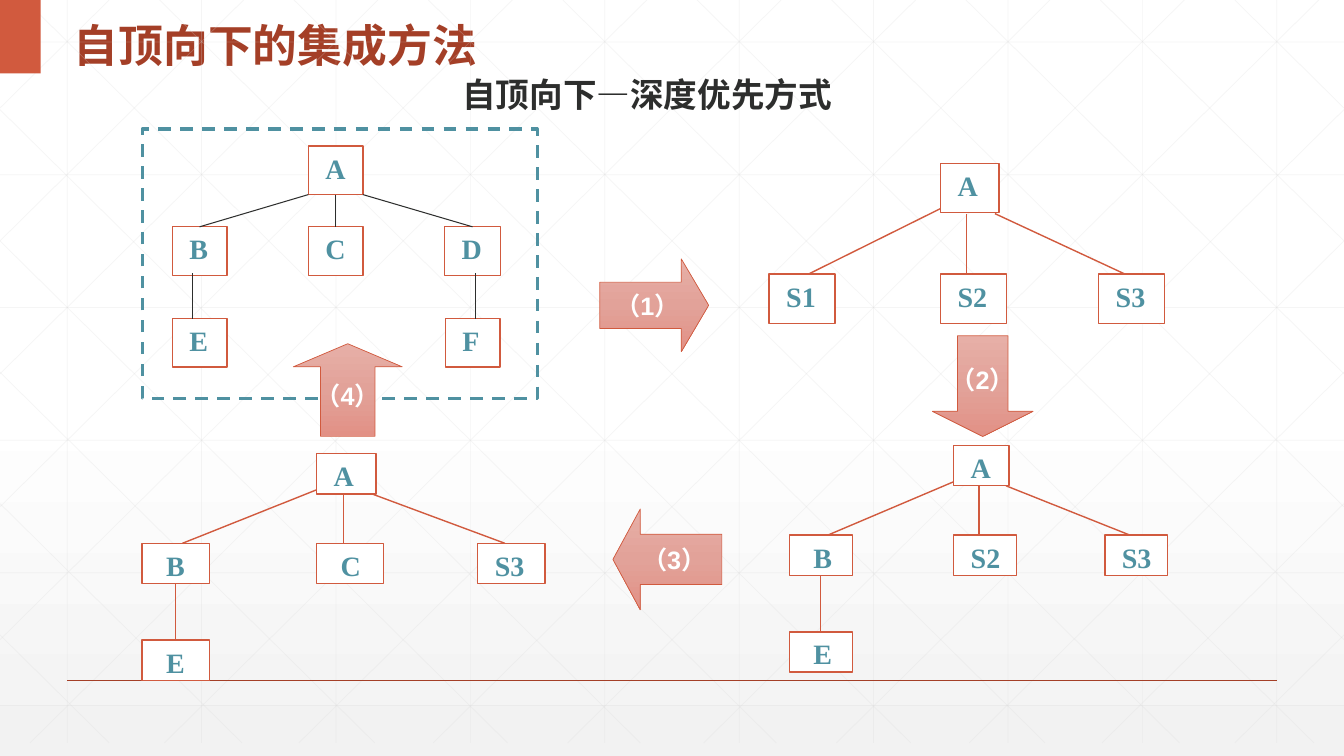
from math import hypot

from lxml.etree import SubElement
from pptx import Presentation
from pptx.dml.color import RGBColor
from pptx.enum.dml import MSO_LINE
from pptx.enum.shapes import MSO_CONNECTOR, MSO_SHAPE
from pptx.enum.text import MSO_ANCHOR, MSO_AUTO_SIZE, PP_ALIGN
from pptx.oxml.ns import qn
from pptx.util import Pt

WHITE = RGBColor(0xFF, 0xFF, 0xFF)
PALE = RGBColor(0xF2, 0xF2, 0xF2)
GRID = RGBColor(0xD9, 0xD9, 0xD9)
INK = RGBColor(0x2D, 0x2E, 0x2D)
BRICK = RGBColor(0xA4, 0x3F, 0x27)
RED = RGBColor(0xD1, 0x5A, 0x3E)
TEAL = RGBColor(0x4F, 0x91, 0xA1)
ROSE_STOPS = [(0, RGBColor(0xE7, 0xAF, 0xA7)), (50, RGBColor(0xE2, 0xA2, 0x99)),
              (100, RGBColor(0xE2, 0x91, 0x86))]
CHINESE_FONT = "Noto Sans CJK SC"
WIDTH, HEIGHT, GRID_BOTTOM = 960, 540, 530.6

ONE_SPACE, TWO_SPACES = 12.2, 17.2
FULL_TREE = {
    "origin": (101.5, 92.2), "height": 34.6, "color": INK, "weight": 0.75,
    "nodes": [("A", 118.8, 12.2, 39, ONE_SPACE), ("B", 21.6, 69.8, 39, ONE_SPACE),
              ("C", 118.8, 69.8, 39, ONE_SPACE), ("D", 216, 69.8, 40, ONE_SPACE),
              ("E", 21.6, 135.4, 39, ONE_SPACE), ("F", 216.7, 135.4, 39, ONE_SPACE)],
    "links": [(118.8, 46.8, 41, 69.8), (157.7, 46.8, 235.6, 69.8), (138.3, 46.8, 138.3, 69.8),
              (36, 103, 36, 135.4), (238.3, 103, 238.3, 135.4)],
    "frame": (282.2, 192.2)}
STUB_TREE = {
    "origin": (549.4, 116.6), "height": 35.3, "color": RED, "weight": 1,
    "nodes": [("A", 122.4, 0, 41.8, ONE_SPACE), ("S1", 0, 79.2, 47, ONE_SPACE),
              ("S2", 122.4, 79.2, 47, ONE_SPACE), ("S3", 235.4, 79.2, 47, ONE_SPACE)],
    "links": [(122.4, 32.4, 28.1, 79.2), (161.3, 36, 254.2, 79.2), (141.1, 36, 141.1, 78.5)]}
LEFT_BRANCH_TREE = {
    "origin": (563.8, 318.2), "height": 28.8, "color": RED, "weight": 1,
    "nodes": [("A", 117.4, 0, 39.6, ONE_SPACE), ("B", 0, 64.1, 45, TWO_SPACES),
              ("S2", 117.4, 64.1, 45, ONE_SPACE), ("S3", 225.4, 64.1, 45, ONE_SPACE),
              ("E", 0, 133.2, 45, TWO_SPACES)],
    "links": [(117.4, 25.9, 27.4, 64.1), (154.8, 28.8, 243.4, 64.1),
              (135.4, 28.8, 135.4, 63.4), (22.5, 92.9, 22.5, 133.2)]}
MIDDLE_BRANCH_TREE = {
    "origin": (101.5, 324), "height": 28.8, "color": RED, "weight": 1,
    "nodes": [("A", 124.6, 0, 42.5, ONE_SPACE), ("B", 0, 64.1, 48, TWO_SPACES),
              ("C", 124.6, 64.1, 48, TWO_SPACES), ("S3", 239.8, 64.1, 48, ONE_SPACE),
              ("E", 0, 133.2, 48, TWO_SPACES)],
    "links": [(124.6, 25.9, 28.8, 64.1), (164.2, 28.8, 259.2, 64.1),
              (144, 29.5, 144, 64.1), (24, 92.9, 24, 133.2)]}
STEP_ARROWS = [("（1）", MSO_SHAPE.RIGHT_ARROW, (428.4, 185, 77.8, 66.2), 0.295),
               ("（2）", MSO_SHAPE.DOWN_ARROW, (666, 239.8, 72, 72), 0.25),
               ("（3）", MSO_SHAPE.LEFT_ARROW, (437.8, 363.6, 77.8, 72), 0.271),
               ("（4）", MSO_SHAPE.UP_ARROW, (209.5, 245.5, 77.8, 66.2), 0.25)]


def write_text(shape, text, font="Arial", size=18, color=WHITE, align=PP_ALIGN.LEFT,
               anchor=MSO_ANCHOR.TOP, wrap=True, indent=7.2, spacing=None):
    """Put one bold paragraph into a shape."""
    frame = shape.text_frame
    frame.auto_size = MSO_AUTO_SIZE.NONE
    frame.word_wrap = wrap
    frame.vertical_anchor = anchor
    frame.margin_left = Pt(indent)
    paragraph = frame.paragraphs[0]
    paragraph.alignment = align
    paragraph.line_spacing = spacing
    run = paragraph.add_run()
    run.text = text
    run.font.name, run.font.size, run.font.bold = font, Pt(size), True
    run.font.color.rgb = color
    SubElement(run.font._element, qn("a:ea"), typeface=CHINESE_FONT)


def set_gradient(fill, element, stops):
    """Give a fill a top-to-bottom gradient with the given stops."""
    fill.gradient()
    fill.gradient_angle = 270
    stop_list = element.find(".//" + qn("a:gsLst"))
    for stop in list(stop_list):
        stop_list.remove(stop)
    for position, color in stops:
        stop = SubElement(stop_list, qn("a:gs"), pos=str(position * 1000))
        SubElement(stop, qn("a:srgbClr"), val=str(color))


def add_line(shapes, points, color, weight, opacity=None):
    """Draw a straight line through (x1, y1, x2, y2)."""
    line = shapes.add_connector(MSO_CONNECTOR.STRAIGHT, *map(Pt, points))
    line.line.color.rgb = color
    line.line.width = Pt(weight)
    if opacity:
        color_element = line._element.find(".//" + qn("a:srgbClr"))
        SubElement(color_element, qn("a:alpha"), val=str(opacity * 1000))
    SubElement(line._element.spPr, qn("a:effectLst"))
    return line


def add_box(shapes, kind, box, fill=None, line=None, weight=1):
    """Draw a preset shape without shadow."""
    shape = shapes.add_shape(kind, *map(Pt, box))
    shape.shadow.inherit = False
    if fill is None:
        shape.fill.background()
    else:
        shape.fill.solid()
        shape.fill.fore_color.rgb = fill
    if line is None:
        shape.line.fill.background()
    else:
        shape.line.color.rgb = line
        shape.line.width = Pt(weight)
    return shape


def draw_backdrop(slide):
    """Draw the gradient, the faint grid, the base line and the corner block."""
    set_gradient(slide.background.fill, slide._element, [(0, WHITE), (53, WHITE), (100, PALE)])
    lines = [(x, 0, x, GRID_BOTTOM) for x in range(48, WIDTH, 96)]
    lines += [(0, 30 + 94.8 * row, WIDTH, 30 + 94.8 * row) for row in range(6)]
    slope = 0.989
    diagonals = []
    for x in range(18, WIDTH, 96):
        end = min(WIDTH, x + GRID_BOTTOM / slope)
        diagonals.append((x, 0, end, (end - x) * slope))
    for row in range(5):
        y = 78.3 + 93.8 * row
        diagonals.append((0, y, (GRID_BOTTOM - y) / slope, GRID_BOTTOM))
    lines += diagonals
    lines += [(WIDTH - x1, y1, WIDTH - x2, y2) for x1, y1, x2, y2 in diagonals]
    grid = slide.shapes.add_group_shape()
    for points in lines:
        add_line(grid.shapes, points, GRID, 0.5, opacity=25)
    add_line(slide.shapes, (48, 486, 912, 486), BRICK, 1)
    add_box(slide.shapes, MSO_SHAPE.RECTANGLE, (0, 0, 29, 52.5), RED)


def draw_heading(slide):
    """Place the title and the subtitle below it."""
    title = slide.shapes.title
    title.left, title.top, title.width, title.height = map(Pt, (45.4, 0, 409.7, 52.5))
    write_text(title, "自顶向下的集成方法", font=CHINESE_FONT, size=32, color=BRICK,
               anchor=MSO_ANCHOR.MIDDLE, spacing=1.3)
    subtitle = slide.shapes.add_textbox(*map(Pt, (58.3, 49, 807.8, 36)))
    write_text(subtitle, "自顶向下—深度优先方式", font=CHINESE_FONT, size=24, color=INK,
               align=PP_ALIGN.CENTER)


def join_ends(line, nodes):
    """Connect line ends that meet the middle of a node's top or bottom side."""
    ends = [(line.begin_x, line.begin_y, line.begin_connect),
            (line.end_x, line.end_y, line.end_connect)]
    for x, y, connect in ends:
        for node in nodes:
            middle = node.left + node.width / 2
            for site, side in ((0, node.top), (2, node.top + node.height)):
                if hypot(x - middle, y - side) < Pt(1):
                    connect(node, site)


def draw_tree(slide, origin, height, color, weight, nodes, links, frame=None):
    """Draw one module tree with its top left corner at origin."""
    left, top = origin
    shapes = slide.shapes.add_group_shape().shapes
    boxes = []
    for label, x, y, width, indent in nodes:
        box = add_box(shapes, MSO_SHAPE.RECTANGLE, (left + x, top + y, width, height), WHITE, RED)
        write_text(box, label, font="Times New Roman", size=20, color=TEAL, indent=indent,
                   wrap=False)
        boxes.append(box)
    for x1, y1, x2, y2 in links:
        line = add_line(shapes, (left + x1, top + y1, left + x2, top + y2), color, weight)
        join_ends(line, boxes)
    if frame:
        border = add_box(shapes, MSO_SHAPE.RECTANGLE, (left, top, *frame), line=TEAL, weight=2.25)
        border.line.dash_style = MSO_LINE.DASH


def draw_step_arrow(slide, label, kind, box, head):
    """Draw a numbered block arrow."""
    arrow = add_box(slide.shapes, kind, box, line=RED, weight=0.5)
    arrow.adjustments[0], arrow.adjustments[1] = 0.5, head
    set_gradient(arrow.fill, arrow._element, ROSE_STOPS)
    write_text(arrow, label, align=PP_ALIGN.CENTER, anchor=MSO_ANCHOR.MIDDLE, wrap=False)


def main():
    """Build the slide and save it."""
    presentation = Presentation()
    presentation.slide_width, presentation.slide_height = Pt(WIDTH), Pt(HEIGHT)
    slide = presentation.slides.add_slide(presentation.slide_layouts[5])
    draw_backdrop(slide)
    draw_heading(slide)
    for tree in (FULL_TREE, STUB_TREE, LEFT_BRANCH_TREE, MIDDLE_BRANCH_TREE):
        draw_tree(slide, **tree)
    for step in STEP_ARROWS:
        draw_step_arrow(slide, *step)
    presentation.save("out.pptx")


if __name__ == "__main__":
    main()
